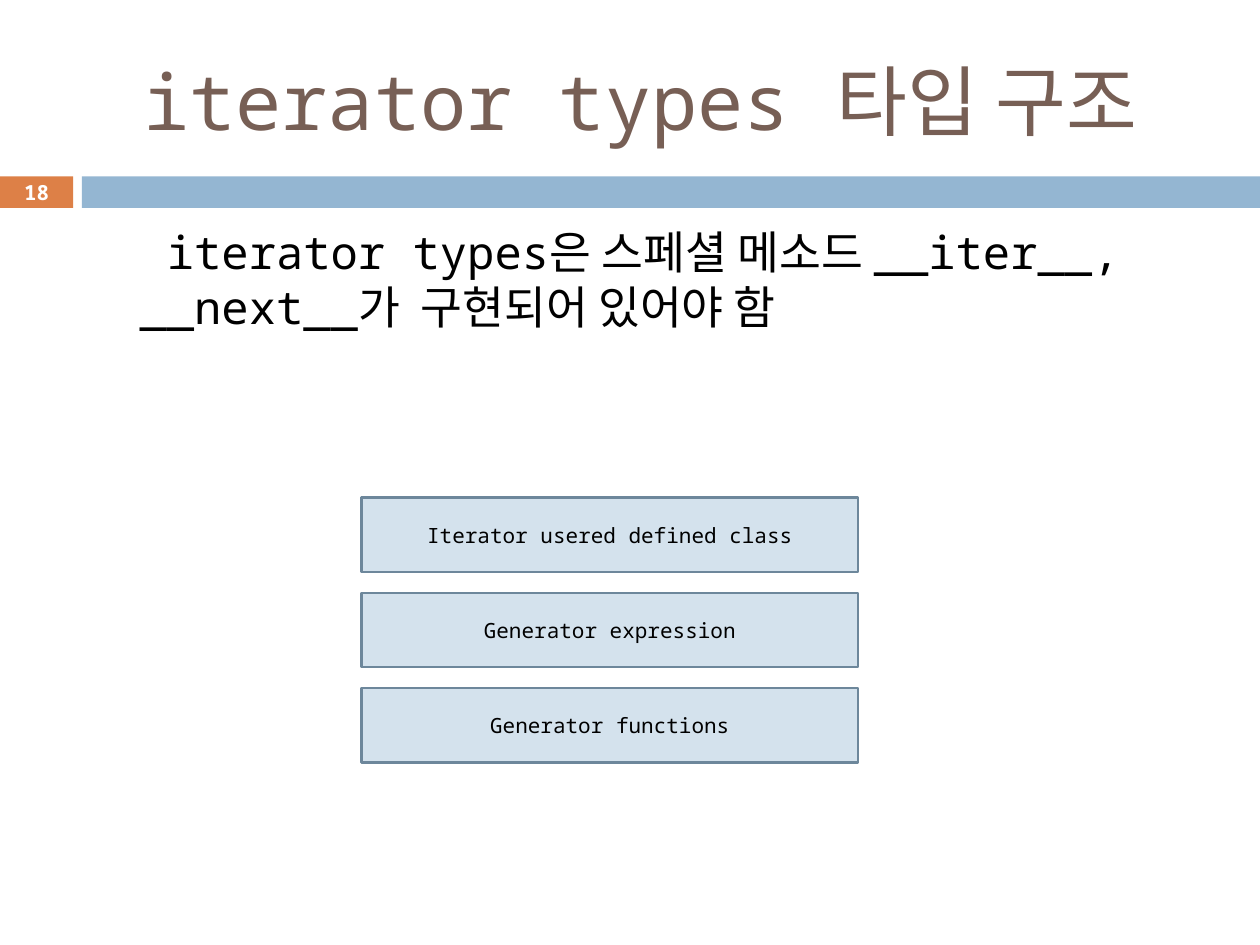
from dataclasses import dataclass

from pptx import Presentation
from pptx.dml.color import RGBColor
from pptx.enum.shapes import MSO_SHAPE
from pptx.enum.text import MSO_ANCHOR, MSO_AUTO_SIZE, PP_ALIGN
from pptx.util import Inches, Pt


@dataclass(frozen=True)
class Theme:
    font: str = "Noto Sans Mono"
    title: str = "775F55"
    text: str = "000000"
    white: str = "FFFFFF"
    orange: str = "DD8047"
    blue: str = "94B6D2"
    box_fill: str = "D4E2ED"
    box_line: str = "6D879B"
    title_size: float = 44
    body_size: float = 26
    number_size: float = 11.9
    box_size: float = 12


theme = Theme()


def add_rectangle(shapes, left, top, width, height, fill, line=None):
    shape = shapes.add_shape(MSO_SHAPE.RECTANGLE, Inches(left), Inches(top),
                             Inches(width), Inches(height))
    shape.shadow.inherit = False
    shape.fill.solid()
    shape.fill.fore_color.rgb = RGBColor.from_string(fill)
    if line:
        shape.line.color.rgb = RGBColor.from_string(line)
        shape.line.width = Pt(1.5)
    else:
        shape.line.fill.background()
    return shape


def write_text(shape, text, size, color, align=PP_ALIGN.LEFT,
               anchor=MSO_ANCHOR.MIDDLE, bold=False):
    frame = shape.text_frame
    frame.word_wrap = True
    frame.auto_size = MSO_AUTO_SIZE.NONE
    frame.vertical_anchor = anchor
    paragraph = frame.paragraphs[0]
    paragraph.text = text
    paragraph.alignment = align
    paragraph.font.name = theme.font
    paragraph.font.size = Pt(size)
    paragraph.font.bold = bold
    paragraph.font.color.rgb = RGBColor.from_string(color)
    return paragraph


presentation = Presentation()
presentation.slide_width = Inches(10)
presentation.slide_height = Inches(7.5)
slide = presentation.slides.add_slide(presentation.slide_layouts[5])

# Header band, with the slide number in its orange end
number_block = add_rectangle(slide.shapes, 0, 1.4, 0.58, 0.25, theme.orange)
number_block.text_frame.margin_left = number_block.text_frame.margin_right = 0
number_block.text_frame.margin_top = number_block.text_frame.margin_bottom = 0
write_text(number_block, "18", theme.number_size, theme.white,
           align=PP_ALIGN.CENTER, bold=True)
add_rectangle(slide.shapes, 0.65, 1.4, 9.35, 0.25, theme.blue)

# Title
title = slide.shapes.title
title.left, title.top = Inches(0.67), Inches(0.25)
title.width, title.height = Inches(8.92), Inches(1.08)
write_text(title, " iterator types 타입 구조", theme.title_size, theme.title)

# Body statement
body = slide.shapes.add_textbox(Inches(0.51), Inches(1.73), Inches(9), Inches(1.47))
statement = write_text(
    body, " iterator types은 스페셜 메소드 __iter__, __next__가  구현되어 있어야 함",
    theme.body_size, theme.text, anchor=MSO_ANCHOR.TOP)
statement.space_before = Pt(5.5)
properties = statement._p.get_or_add_pPr()
properties.set("marL", str(Inches(0.5)))
properties.set("indent", "0")

# Stack of iterator kinds
iterator_kinds = ["Iterator usered defined class", "Generator expression",
                  "Generator functions"]
stack = slide.shapes.add_group_shape()
for index, kind in enumerate(iterator_kinds):
    box = add_rectangle(stack.shapes, 2.87, 3.95 + index * 0.755, 3.94, 0.59,
                        theme.box_fill, theme.box_line)
    write_text(box, kind, theme.box_size, theme.text, align=PP_ALIGN.CENTER)

presentation.save("out.pptx")
